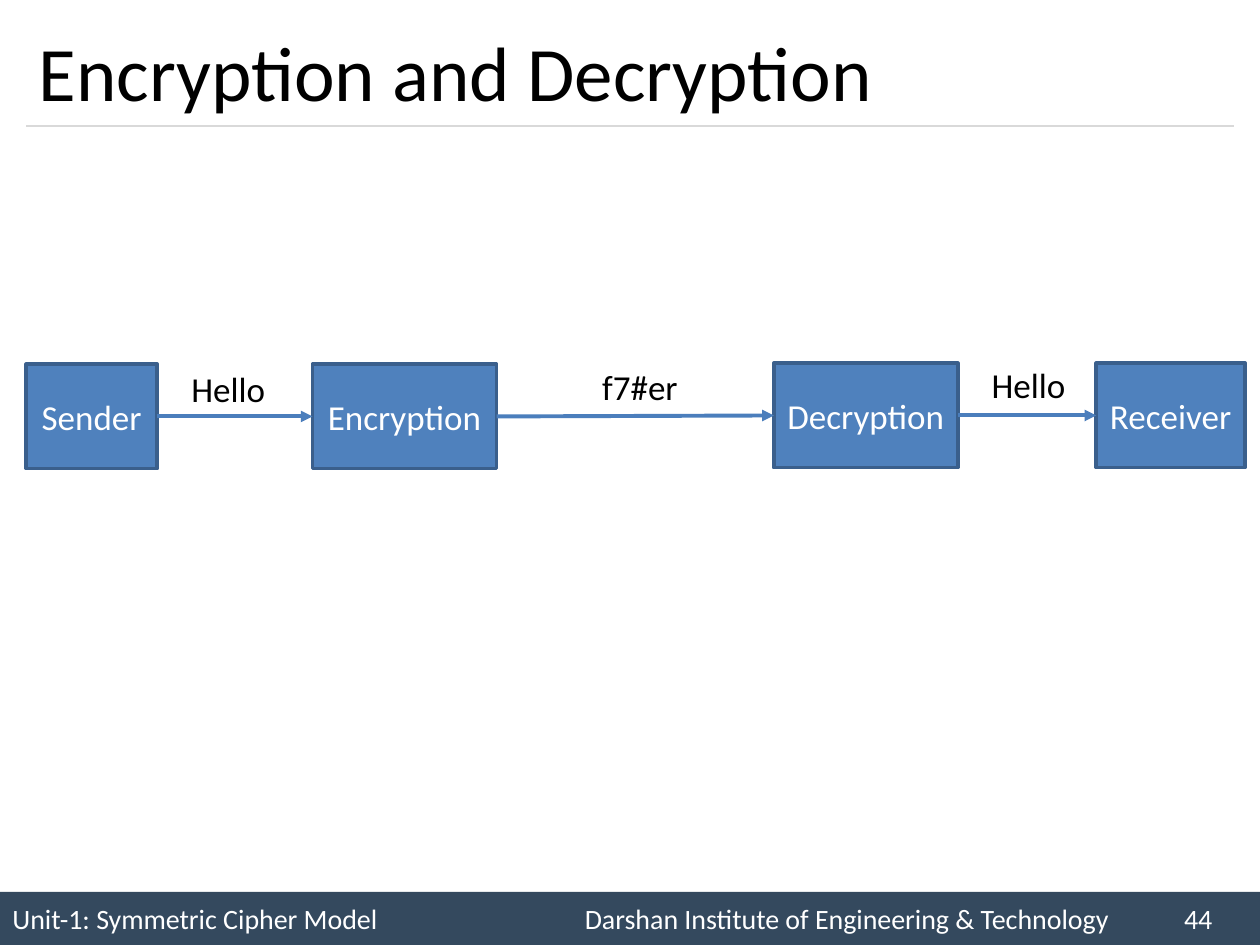
"""Build a slide showing a message passing through encryption and decryption."""
from pptx import Presentation
from pptx.dml.color import RGBColor
from pptx.enum import shapes, text
from pptx.oxml.ns import qn
from pptx.util import Cm, Pt
from lxml import etree

FONT = "Calibri"
BLACK = RGBColor(0x00, 0x00, 0x00)
WHITE = RGBColor(0xFF, 0xFF, 0xFF)
SLATE = RGBColor(0x34, 0x49, 0x5E)
RULE_GREY = RGBColor(0xD9, 0xD9, 0xD9)
STAGE_FILL = RGBColor(0x4F, 0x81, 0xBD)
STAGE_EDGE = RGBColor(0x3A, 0x5F, 0x8C)
ARROW_BLUE = RGBColor(0x4B, 0x7E, 0xBC)

STAGES = [
    ("Sender", 0.53, 7.34, 2.64),
    ("Encryption", 6.3, 7.34, 3.71),
    ("Decryption", 15.6, 7.32, 3.71),
    ("Receiver", 22.1, 7.32, 3.0),
]
MESSAGES = [
    ("Hello", 3.61, 7.29, 2.03),
    ("f7#er", 11.89, 7.24, 2.08),
    ("Hello", 19.74, 7.21, 2.03),
]


def write(shape, words, size, color, align, anchor):
    frame = shape.text_frame
    frame.text = words
    frame.vertical_anchor = anchor
    paragraph = frame.paragraphs[0]
    paragraph.alignment = align
    font = paragraph.runs[0].font
    font.name, font.size = FONT, Pt(size)
    font.color.rgb = color


def add_label(slide, words, left, top, width, height, size,
              anchor=text.MSO_ANCHOR.TOP, wrap=False):
    label = slide.shapes.add_textbox(Cm(left), Cm(top), Cm(width), Cm(height))
    label.text_frame.word_wrap = wrap
    write(label, words, size, BLACK, text.PP_ALIGN.LEFT, anchor)


def add_block(slide, words, left, top, width, height, size, fill, edge=None,
              align=text.PP_ALIGN.CENTER):
    block = slide.shapes.add_shape(shapes.MSO_SHAPE.RECTANGLE,
                                   Cm(left), Cm(top), Cm(width), Cm(height))
    block.shadow.inherit = False
    block.fill.solid()
    block.fill.fore_color.rgb = fill
    if edge is None:
        block.line.fill.background()
    else:
        block.line.color.rgb = edge
        block.line.width = Pt(2)
    write(block, words, size, WHITE, align, text.MSO_ANCHOR.MIDDLE)
    return block


def add_line(slide, start, end, color, width):
    line = slide.shapes.add_connector(shapes.MSO_CONNECTOR.STRAIGHT,
                                      *map(Cm, start + end))
    line.line.color.rgb = color
    line.line.width = Pt(width)
    etree.SubElement(line._element.spPr, qn("a:effectLst"))
    return line


def add_arrow(slide, source, target):
    arrow = add_line(slide, (0, 0), (1, 1), ARROW_BLUE, 2.25)
    arrow.begin_connect(source, 3)
    arrow.end_connect(target, 1)
    etree.SubElement(arrow.line._get_or_add_ln(), qn("a:tailEnd"), type="triangle")


def add_footer(slide):
    words = "\t".join(["Unit-1: Symmetric Cipher Model",
                       "Darshan Institute of Engineering & Technology", "44"])
    footer = add_block(slide, words, 0, 17.98, 25.4, 1.07, 16, SLATE,
                       align=text.PP_ALIGN.LEFT)
    properties = footer.text_frame.paragraphs[0]._p.get_or_add_pPr()
    tabs = etree.SubElement(properties, qn("a:tabLst"))
    for position in (11.54, 23.62):
        etree.SubElement(tabs, qn("a:tab"), pos=str(Cm(position)), algn="l")


def main():
    deck = Presentation()
    deck.slide_width, deck.slide_height = Cm(25.4), Cm(19.05)
    slide = deck.slides.add_slide(deck.slide_layouts[6])

    add_footer(slide)
    add_line(slide, (0.53, 2.54), (24.87, 2.54), RULE_GREY, 0.75)
    add_label(slide, "Encryption and Decryption", 0.53, 0.3, 24.33, 2.24, 44,
              text.MSO_ANCHOR.MIDDLE, wrap=True)

    stages = [add_block(slide, name, left, top, width, 2.11, 20, STAGE_FILL, STAGE_EDGE)
              for name, left, top, width in STAGES]
    for source, target in zip(stages, stages[1:]):
        add_arrow(slide, source, target)
    for message, left, top, width in MESSAGES:
        add_label(slide, message, left, top, width, 1.11, 20)

    deck.save("out.pptx")


if __name__ == "__main__":
    main()
